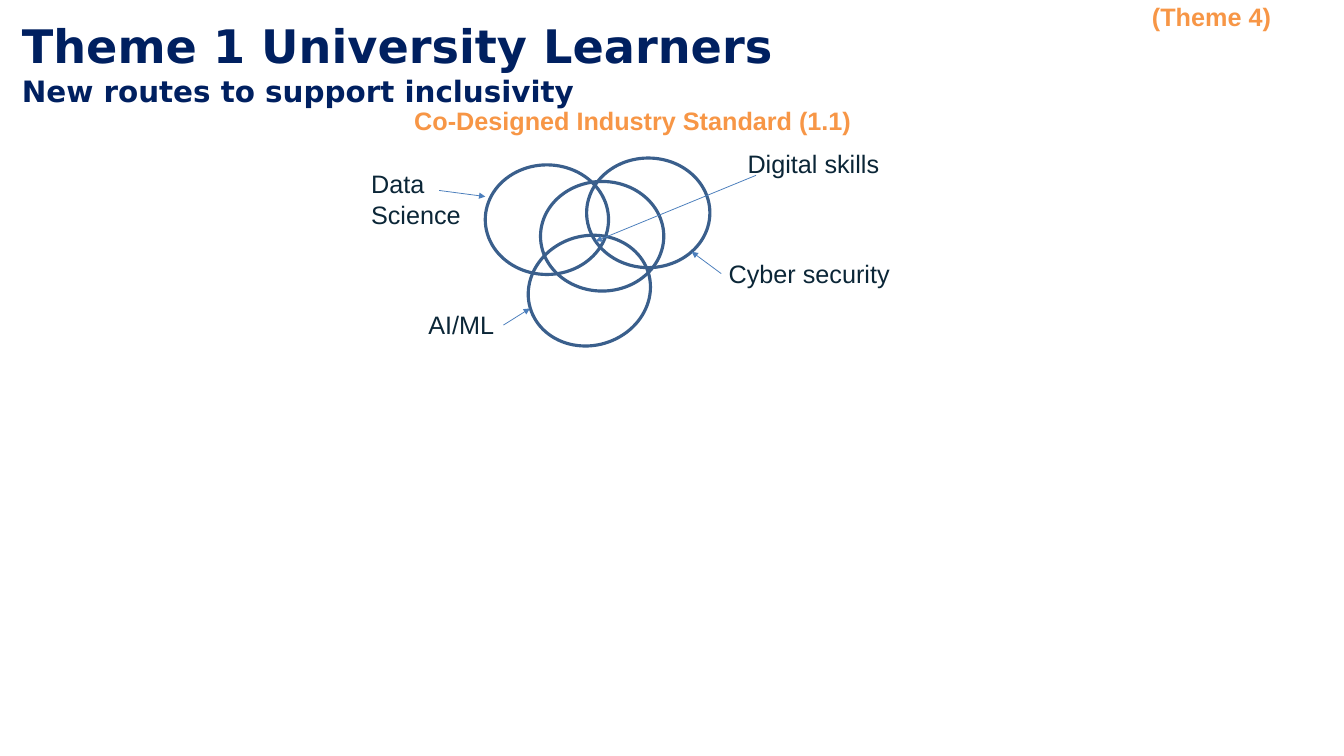
from lxml.etree import SubElement
from pptx import Presentation
from pptx.dml.color import RGBColor
from pptx.enum.shapes import MSO_CONNECTOR, MSO_SHAPE
from pptx.enum.text import MSO_ANCHOR, MSO_AUTO_SIZE
from pptx.oxml.ns import qn
from pptx.util import Pt

NAVY = RGBColor(0x00, 0x20, 0x60)
INK = RGBColor(0x0B, 0x26, 0x37)
ORANGE = RGBColor(0xF7, 0x96, 0x46)
RING_BLUE = RGBColor(0x3A, 0x5F, 0x8C)
ARROW_BLUE = RGBColor(0x4B, 0x7E, 0xBC)


class VennSlide:
    """Style and drawing methods for one slide; all lengths in points."""

    body_font = "Arial"
    title_font = "DejaVu Sans"
    label_size = 24
    ring_size = (117.4, 104.4)

    def __init__(self, slide):
        self.slide = slide

    def ring(self, left, top, rotation=0):
        width, height = self.ring_size
        ring = self.slide.shapes.add_shape(
            MSO_SHAPE.OVAL, Pt(left), Pt(top), Pt(width), Pt(height))
        ring.rotation = rotation
        ring.shadow.inherit = False
        ring.fill.background()
        ring.line.color.rgb = RING_BLUE
        ring.line.width = Pt(3)

    def label(self, lines, left, top, width, color=INK, bold=False):
        height = 7.2 + 28.8 * len(lines)
        box = self.slide.shapes.add_textbox(Pt(left), Pt(top), Pt(width), Pt(height))
        frame = box.text_frame
        frame.word_wrap = False
        frame.auto_size = MSO_AUTO_SIZE.SHAPE_TO_FIT_TEXT
        frame.text = "\n".join(lines)
        for paragraph in frame.paragraphs:
            font = paragraph.font
            font.name, font.size, font.bold = self.body_font, Pt(self.label_size), bold
            font.color.rgb = color

    def arrow(self, start, end):
        arrow = self.slide.shapes.add_connector(
            MSO_CONNECTOR.STRAIGHT, *(Pt(value) for value in (*start, *end)))
        arrow.line.color.rgb = ARROW_BLUE
        arrow.line.width = Pt(0.75)
        properties = arrow.element.spPr
        SubElement(properties.find(qn("a:ln")), qn("a:tailEnd"), type="triangle")
        SubElement(properties, qn("a:effectLst"))

    def title(self, heading, subheading):
        box = self.slide.shapes.add_textbox(Pt(13.7), Pt(9.4), Pt(774), Pt(77.8))
        frame = box.text_frame
        frame.word_wrap = True
        frame.vertical_anchor = MSO_ANCHOR.TOP
        frame.margin_top = Pt(7.5)
        paragraph = frame.paragraphs[0]
        font = paragraph.font
        font.name, font.bold = self.title_font, True
        font.color.rgb = NAVY
        heading_run = paragraph.add_run()
        heading_run.text = heading
        heading_run.font.size = Pt(44)
        paragraph.add_line_break()
        subheading_run = paragraph.add_run()
        subheading_run.text = subheading
        subheading_run.font.size = Pt(28)


def main():
    deck = Presentation()
    deck.slide_width, deck.slide_height = Pt(1280), Pt(720)
    venn = VennSlide(deck.slides.add_slide(deck.slide_layouts[6]))

    venn.title("Theme 1 University Learners", "New routes to support inclusivity")
    venn.label(["(Theme 4)"], 1090, -2, 129, ORANGE, bold=True)
    venn.label(["Co-Designed Industry Standard (1.1)"], 387.4, 97.2, 434, ORANGE, bold=True)

    for left, top, rotation in [(462.2, 157, 0), (502.6, 224.6, 343.5),
                                (514.8, 172.8, 0), (558.7, 150.5, 0)]:
        venn.ring(left, top, rotation)

    # Each skill: lines, left, top, width, arrow start, arrow end
    skills = [
        (["Data", "Science"], 346.3, 157, 101, (418.3, 181.4), (462.2, 187.2)),
        (["AI/ML"], 401, 290.9, 78, (479.5, 309.6), (504.7, 293.8)),
        (["Cyber security"], 686.9, 242.6, 169, (686.9, 260.6), (658.8, 239.8)),
        (["Digital skills"], 704.9, 138.2, 141, (720, 167), (567.4, 229.7)),
    ]
    for lines, left, top, width, start, end in skills:
        venn.label(lines, left, top, width)
        venn.arrow(start, end)

    deck.save("out.pptx")


if __name__ == "__main__":
    main()
